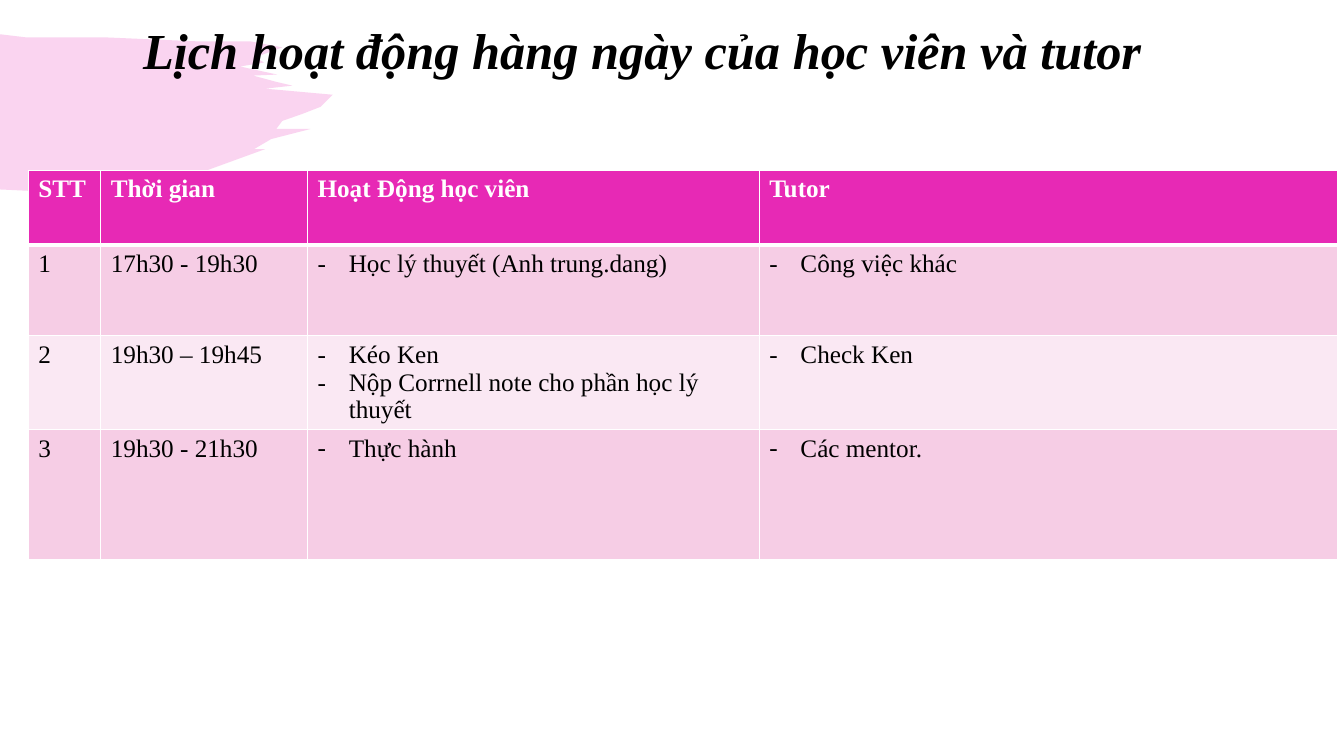
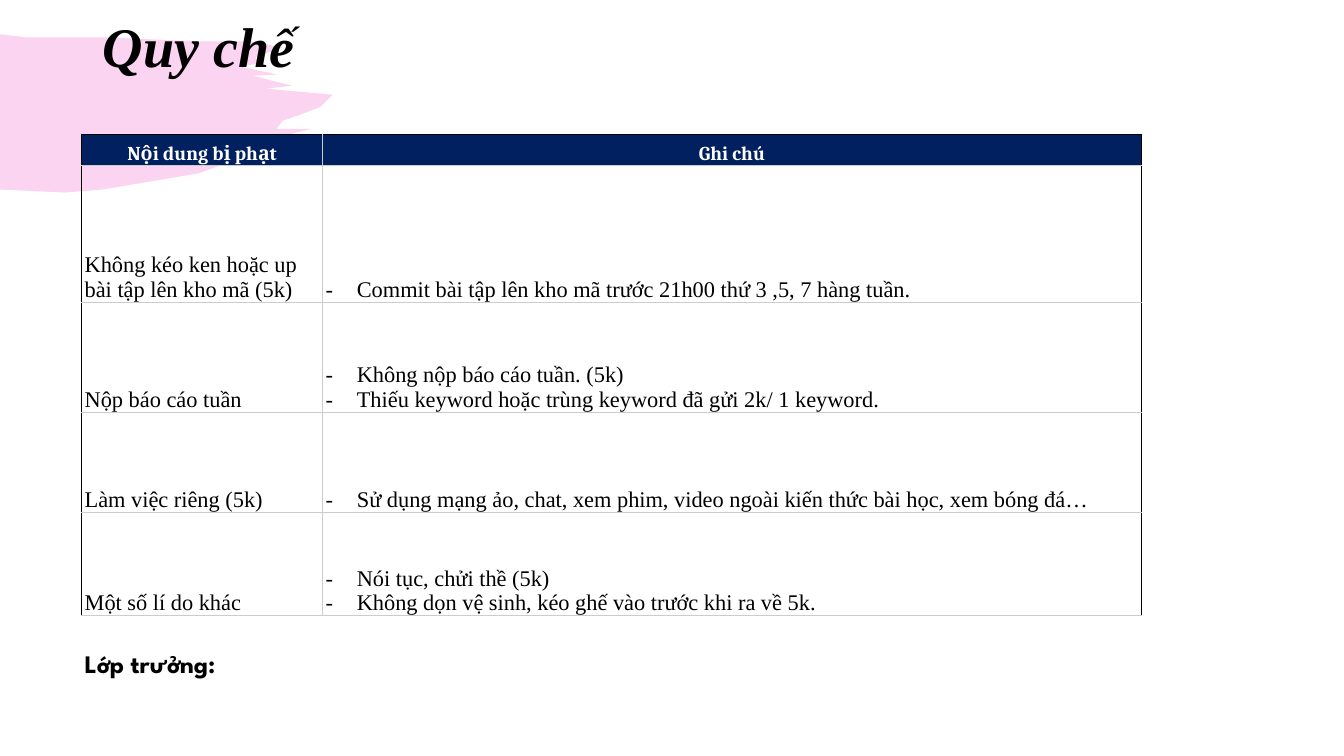
from collections.abc import Callable
from dataclasses import dataclass

from lxml.etree import SubElement
from pptx import Presentation
from pptx.dml.color import RGBColor
from pptx.enum.text import MSO_ANCHOR, MSO_AUTO_SIZE, PP_ALIGN
from pptx.oxml import parse_xml
from pptx.oxml.ns import nsdecls, qn
from pptx.util import Pt

PX = 9144  # 100 px to the inch
SLIDE_WIDTH, SLIDE_HEIGHT = 1333, 750

BLACK = RGBColor(0x00, 0x00, 0x00)
WHITE = RGBColor(0xFF, 0xFF, 0xFF)
MAGENTA = RGBColor(0xE7, 0x29, 0xB5)
PINK = RGBColor(0xF6, 0xCD, 0xE5)
PALE_PINK = RGBColor(0xFA, 0xE8, 0xF3)
NAVY = RGBColor(0x00, 0x20, 0x60)
GREY = RGBColor(0xCC, 0xCC, 0xCC)

SERIF = "Times New Roman"
HEADING_SERIF = "Cambria"
DISPLAY = "League Spartan"
BULLET_INDENT = 31

BRUSH_OUTLINE = [
    (0, 34), (25, 37), (102, 37), (194, 41), (248, 41), (280, 47), (253, 57),
    (262, 62), (238, 66), (275, 74), (251, 75), (273, 81), (290, 85), (263, 88),
    (330, 94), (318, 106), (300, 113), (280, 120), (274, 128), (308, 128),
    (269, 138), (252, 148), (263, 148), (197, 172), (102, 188), (65, 191), (0, 188),
]

SCHEDULE = [
    ["STT", "Thời gian", "Hoạt Động học viên", "Tutor"],
    ["1", "17h30 - 19h30", ["Học lý thuyết (Anh trung.dang)"], ["Công việc khác"]],
    ["2", "19h30 – 19h45",
     ["Kéo Ken", "Nộp Corrnell note cho phần học lý thuyết"], ["Check Ken"]],
    ["3", "19h30 - 21h30", ["Thực hành"], ["Các mentor."]],
]
RULES = [
    ["Nội dung bị phạt", "Ghi chú"],
    ["Không kéo ken hoặc up bài tập lên kho mã (5k)",
     ["Commit bài tập lên kho mã trước 21h00 thứ 3 ,5, 7 hàng tuần."]],
    ["Nộp báo cáo tuần",
     ["Không nộp báo cáo tuần. (5k)",
      "Thiếu keyword hoặc trùng keyword đã gửi 2k/ 1 keyword."]],
    ["Làm việc riêng (5k)",
     ["Sử dụng mạng ảo, chat, xem phim, video ngoài kiến thức bài học, xem bóng đá…"]],
    ["Một số lí do khác",
     ["Nói tục, chửi thề (5k)", "Không dọn vệ sinh, kéo ghế vào trước khi ra về 5k."]],
]


@dataclass
class TableLook:
    header_fill: RGBColor
    body_fills: list
    header_font: str
    header_size: int
    body_size: int
    edge: Callable
    header_align: PP_ALIGN = PP_ALIGN.LEFT
    anchor: MSO_ANCHOR = MSO_ANCHOR.TOP
    side_margin: int = 10
    end_margin: int = 5


def schedule_edge(row, side, outer):
    """White rules, thick between the header and the body."""
    under_header = (row, side) in ((0, "B"), (1, "T"))
    return WHITE, 3 if under_header else 1


def rules_edge(row, side, outer):
    """Black outline, open at the bottom, around grey rules."""
    return BLACK if outer and side != "B" else GREY, 0.75


SCHEDULE_LOOK = TableLook(MAGENTA, [PINK, PALE_PINK], SERIF, 18, 18, schedule_edge)
RULES_LOOK = TableLook(NAVY, [None], HEADING_SERIF, 14, 16, rules_edge,
                       PP_ALIGN.CENTER, MSO_ANCHOR.BOTTOM, 3, 0)


def px(*lengths):
    return [length * PX for length in lengths]


def add_run(paragraph, text, size, font=SERIF, color=BLACK, bold=False, italic=False):
    run = paragraph.add_run()
    run.text = text
    run.font.name, run.font.size = font, Pt(size)
    run.font.bold, run.font.italic = bold, italic
    run.font.color.rgb = color


def add_dash(paragraph):
    properties = paragraph._p.get_or_add_pPr()
    indent, = px(BULLET_INDENT)
    properties.set("marL", str(indent))
    properties.set("indent", str(-indent))
    SubElement(properties, qn("a:buFont")).set("typeface", SERIF)
    SubElement(properties, qn("a:buChar")).set("char", "-")


def add_brush_to_layout(slide):
    """Draw the brush stroke and move it to the layout that the slides share."""
    start, *others = BRUSH_OUTLINE
    builder = slide.shapes.build_freeform(*start, scale=PX)
    builder.add_line_segments(others, close=True)
    brush = builder.convert_to_shape()
    brush.shadow.inherit = False
    brush.line.fill.background()
    brush.fill.solid()
    brush.fill.fore_color.rgb = MAGENTA
    color = brush.element.spPr.find(".//" + qn("a:srgbClr"))
    SubElement(color, qn("a:alpha")).set("val", "20000")
    slide.slide_layout.shapes.element.insert(2, brush.element)


def set_title(slide, text, box, size, anchor=MSO_ANCHOR.MIDDLE, margin_top=5):
    title = slide.shapes.title
    title.left, title.top, title.width, title.height = px(*box)
    frame = title.text_frame
    frame.word_wrap = True
    frame.auto_size = MSO_AUTO_SIZE.NONE
    frame.vertical_anchor = anchor
    frame.margin_top, = px(margin_top)
    paragraph = frame.paragraphs[0]
    paragraph.alignment = PP_ALIGN.LEFT
    paragraph.line_spacing = 0.9
    add_run(paragraph, text, size, bold=True, italic=True)


def set_edges(cell, edges):
    properties = cell._tc.get_or_add_tcPr()
    for position, (side, (color, width)) in enumerate(edges.items()):
        properties.insert(position, parse_xml(
            f'<a:ln{side} {nsdecls("a")} w="{Pt(width)}"><a:solidFill>'
            f'<a:srgbClr val="{color}"/></a:solidFill></a:ln{side}>'))


def fill_cell(cell, content, look, row):
    header = row == 0
    fill = look.header_fill if header else look.body_fills[(row - 1) % len(look.body_fills)]
    if fill is None:
        cell.fill.background()
    else:
        cell.fill.solid()
        cell.fill.fore_color.rgb = fill
    cell.vertical_anchor = look.anchor
    cell.margin_left, cell.margin_right = px(look.side_margin, look.side_margin)
    cell.margin_top, cell.margin_bottom = px(look.end_margin, look.end_margin)
    frame = cell.text_frame
    dashed = isinstance(content, list)
    for index, text in enumerate(content if dashed else [content]):
        paragraph = frame.add_paragraph() if index else frame.paragraphs[0]
        if dashed:
            add_dash(paragraph)
        if header:
            paragraph.alignment = look.header_align
            add_run(paragraph, text, look.header_size, look.header_font, WHITE, bold=True)
        else:
            add_run(paragraph, text, look.body_size)


def add_grid(slide, left, top, widths, heights, contents, look):
    box = px(left, top, sum(widths), sum(heights))
    table = slide.shapes.add_table(len(heights), len(widths), *box).table
    table.first_row = table.horz_banding = False
    for column, width in zip(table.columns, px(*widths)):
        column.width = width
    for row, height in zip(table.rows, px(*heights)):
        row.height = height
    for r, row_contents in enumerate(contents):
        for c, content in enumerate(row_contents):
            cell = table.cell(r, c)
            fill_cell(cell, content, look, r)
            outer = {"L": c == 0, "R": c == len(widths) - 1,
                     "T": r == 0, "B": r == len(heights) - 1}
            set_edges(cell, {side: look.edge(r, side, at_rim)
                             for side, at_rim in outer.items()})


def add_label(slide, text, box):
    frame = slide.shapes.add_textbox(*px(*box)).text_frame
    frame.word_wrap = True
    frame.auto_size = MSO_AUTO_SIZE.SHAPE_TO_FIT_TEXT
    add_run(frame.paragraphs[0], text, 18, DISPLAY, bold=True)


def main():
    deck = Presentation()
    deck.slide_width, deck.slide_height = px(SLIDE_WIDTH, SLIDE_HEIGHT)
    title_only = deck.slide_layouts[5]

    schedule = deck.slides.add_slide(title_only)
    add_brush_to_layout(schedule)
    set_title(schedule, "Lịch hoạt động hàng ngày của học viên và tutor",
              (132, 22, 1150, 61), 36)
    add_grid(schedule, 28, 169, [72, 205, 448, 574], [74, 90, 80, 129],
             SCHEDULE, SCHEDULE_LOOK)

    rules = deck.slides.add_slide(title_only)
    set_title(rules, "Quy chế", (92, 9, 1150, 145), 40, MSO_ANCHOR.TOP, margin_top=10)
    add_grid(rules, 81, 133, [239, 812], [31, 136, 109, 99, 103], RULES, RULES_LOOK)
    add_label(rules, "Lớp trưởng:", (74, 638, 408, 40))

    deck.save("out.pptx")


if __name__ == "__main__":
    main()
